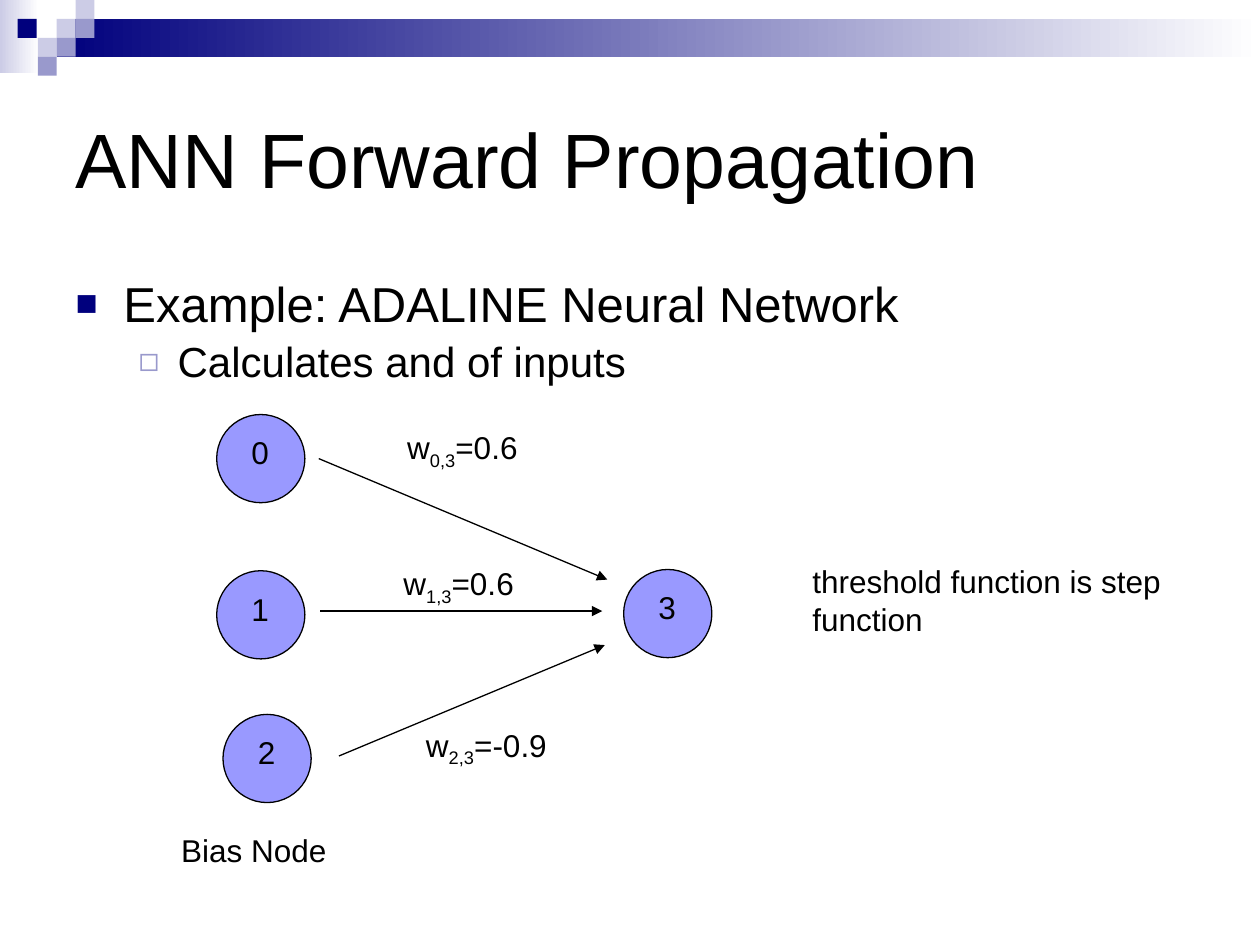
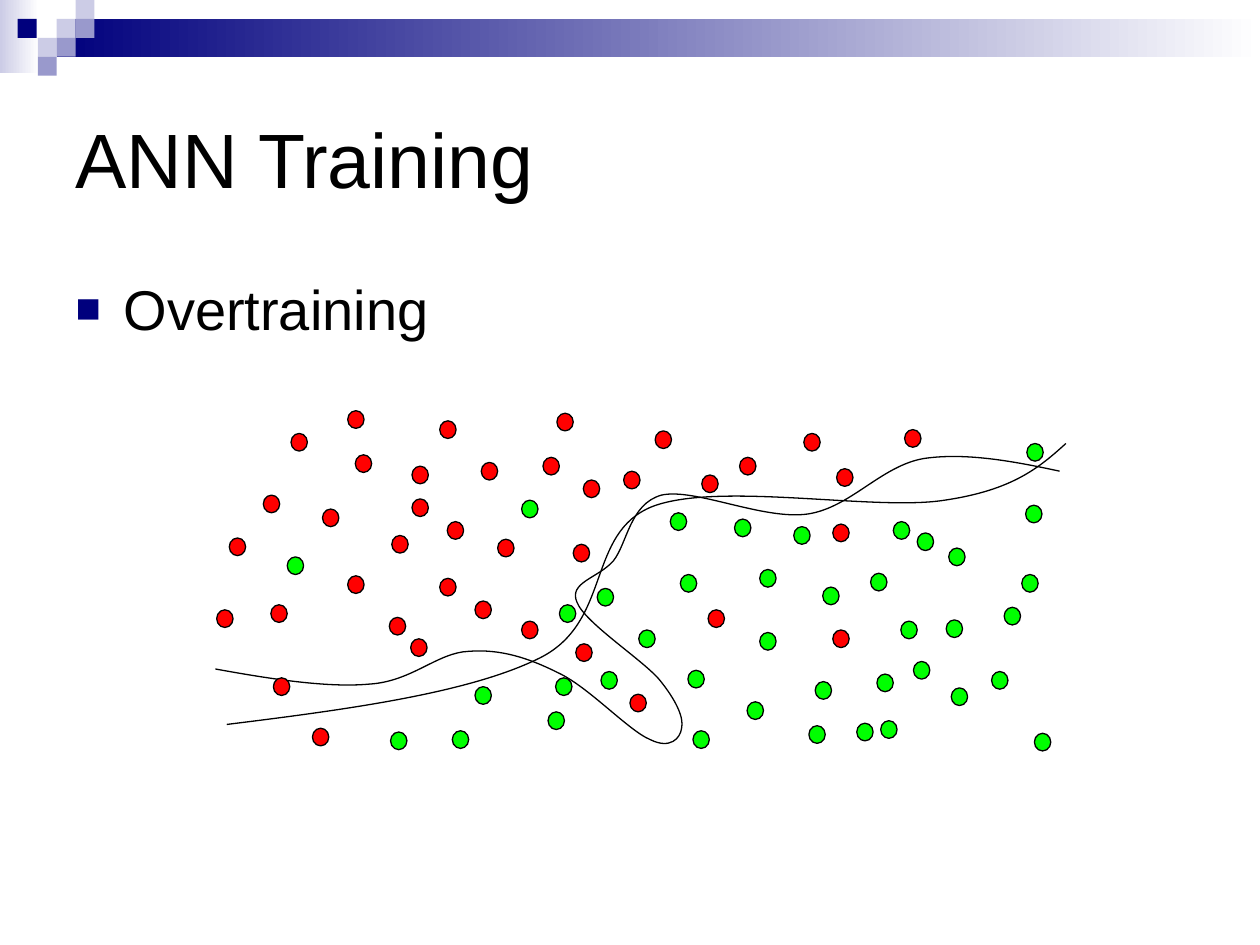
import dataclasses

import pptx
import pptx.dml.color
import pptx.enum.dml
import pptx.enum.shapes
import pptx.enum.text
import pptx.oxml
import pptx.oxml.ns
import pptx.util
from lxml import etree

PX = 9144  # EMU in one px: 100 px to the inch
OVAL = pptx.enum.shapes.MSO_SHAPE.OVAL
RECTANGLE = pptx.enum.shapes.MSO_SHAPE.RECTANGLE
ALIGN = pptx.enum.text.PP_ALIGN
AUTO_SIZE = pptx.enum.text.MSO_AUTO_SIZE


@dataclasses.dataclass(frozen=True)
class Theme:
    font: str = "Arial"
    ink: str = "000000"
    navy: str = "00007D"
    lilac: str = "9999CC"
    pale: str = "CCCCE6"
    white: str = "FFFFFF"
    node: str = "9999FF"
    red: str = "FF0000"
    green: str = "00FF00"
    title_size: int = 44
    label_size: int = 18
    line_width: float = 0.75


def rgb(color):
    return pptx.dml.color.RGBColor.from_string(color)


def emu(*lengths):
    return [length * PX for length in lengths]


def sub(parent, tag, **attributes):
    return etree.SubElement(parent, pptx.oxml.ns.qn(tag), attributes)


class Painter:
    def __init__(self, deck, theme):
        self.deck = deck
        self.theme = theme
        self.layout = deck.slide_layouts[1]
        self.page = None

    def add_page(self, title):
        self.page = self.deck.slides.add_slide(self.layout)
        self.place(self.page.shapes.title, 50, 50, 900, 150)
        para = self.page.shapes.title.text_frame.paragraphs[0]
        para.alignment = ALIGN.LEFT
        self.span(para, title, self.theme.title_size)

    def place(self, holder, *bounds):
        holder.left, holder.top, holder.width, holder.height = emu(*bounds)
        holder.text_frame.auto_size = AUTO_SIZE.NONE

    def span(self, para, text, size, baseline=None):
        span = para.add_run()
        span.text = text
        span.font.name = self.theme.font
        span.font.size = pptx.util.Pt(size)
        span.font.color.rgb = rgb(self.theme.ink)
        if baseline:
            span.font._element.set("baseline", str(baseline))

    def body(self, bounds, items, spacing=None):
        """Each item is (level, text, size)."""
        styles = [(38, 38, "■", self.theme.navy, 75),
                  (81, 31, "◻", self.theme.lilac, 80)]
        holder = self.page.placeholders[1]
        self.place(holder, *bounds)
        frame = holder.text_frame
        for index, (level, text, size) in enumerate(items):
            para = frame.add_paragraph() if index else frame.paragraphs[0]
            para.level = level
            if spacing:
                para.line_spacing = spacing
            margin, hanging, mark, color, percent = styles[level]
            properties = para._p.get_or_add_pPr()
            properties.set("marL", str(margin * PX))
            properties.set("indent", str(-hanging * PX))
            sub(sub(properties, "a:buClr"), "a:srgbClr", val=color)
            sub(properties, "a:buSzPct", val=str(percent * 1000))
            sub(properties, "a:buFont", typeface=self.theme.font)
            sub(properties, "a:buChar", char=mark)
            self.span(para, text, size)

    def outline(self, line):
        line.color.rgb = rgb(self.theme.ink)
        line.width = pptx.util.Pt(self.theme.line_width)

    def shape(self, kind, bounds, color, fade_to=None, outlined=False):
        shape = self.page.shapes.add_shape(kind, *emu(*bounds))
        shape.shadow.inherit = False
        if fade_to:
            shape.fill.gradient()
            shape.fill.gradient_angle = 0
            for stop, shade in zip(shape.fill.gradient_stops, (color, fade_to)):
                stop.color.rgb = rgb(shade)
        else:
            shape.fill.solid()
            shape.fill.fore_color.rgb = rgb(color)
        if outlined:
            self.outline(shape.line)
        else:
            shape.line.fill.background()
        return shape

    def band(self, *args):
        """Add a rectangle that every page gets from the layout."""
        self.layout.shapes._spTree.append(self.shape(RECTANGLE, *args)._element)

    def label(self, bounds, *spans, align=ALIGN.LEFT):
        """Each span is (text,) or (text, baseline)."""
        box = self.page.shapes.add_textbox(*emu(*bounds))
        box.text_frame.word_wrap = True
        box.text_frame.auto_size = AUTO_SIZE.SHAPE_TO_FIT_TEXT
        para = box.text_frame.paragraphs[0]
        para.alignment = align
        for text, *baseline in spans:
            self.span(para, text, self.theme.label_size, *baseline)

    def node(self, left, top, name):
        self.shape(OVAL, (left, top, 70, 70), self.theme.node, outlined=True)
        self.label((left + 10, top + 10, 49, 40), (name,), align=ALIGN.CENTER)

    def arrow(self, *ends):
        straight = pptx.enum.shapes.MSO_CONNECTOR.STRAIGHT
        arrow = self.page.shapes.add_connector(straight, *emu(*ends))
        self.outline(arrow.line)
        sub(arrow.line._get_or_add_ln(), "a:tailEnd", type="triangle")
        sub(arrow._element.spPr, "a:effectLst")

    def curve(self, points):
        """Draw cubic curves: a start, then three points for each piece."""
        start, *rest = [emu(*point) for point in points]
        builder = self.page.shapes.build_freeform(*start)
        builder.add_line_segments(rest, close=False)
        curve = builder.convert_to_shape()
        curve.shadow.inherit = False
        curve.fill.background()
        self.outline(curve.line)
        # Join every three straight pieces into one cubic piece
        pieces = list(curve._element.iter(pptx.oxml.ns.qn("a:lnTo")))
        for index in range(0, len(pieces), 3):
            cubic = etree.Element(pptx.oxml.ns.qn("a:cubicBezTo"))
            pieces[index].addprevious(cubic)
            for piece in pieces[index:index + 3]:
                cubic.append(piece[0])
                piece.getparent().remove(piece)

    def dots(self, corners, color):
        for left, top in corners:
            self.shape(OVAL, (left, top, 13, 14), color, outlined=True)


SMOOTH_BOUNDARY = [
    (180, 575), (277, 563), (373, 550), (429, 522), (486, 493), (465, 423),
    (518, 402), (571, 382), (695, 406), (750, 397), (804, 389), (825, 371),
    (846, 352)]
OVERTRAINED_BOUNDARY = [
    (171, 531), (215, 539), (260, 546), (293, 543), (327, 541), (347, 518),
    (372, 517), (397, 515), (419, 522), (443, 534), (467, 545), (499, 580),
    (516, 587), (532, 595), (540, 586), (541, 578), (543, 570), (537, 556),
    (523, 539), (509, 523), (464, 494), (458, 478), (451, 462), (475, 459),
    (487, 445), (498, 431), (500, 400), (525, 393), (551, 387), (606, 413),
    (641, 408), (675, 403), (699, 370), (733, 364), (766, 359), (804, 366),
    (841, 374)]
RED_DOTS = [
    (209, 393), (282, 361), (327, 396), (172, 484), (349, 459), (562, 484),
    (276, 457), (495, 374), (463, 381), (664, 372), (500, 551), (215, 480),
    (414, 493), (455, 432), (557, 377), (457, 511), (182, 427), (256, 404),
    (217, 538), (309, 490), (326, 507), (311, 425), (248, 578), (395, 428),
    (587, 363), (431, 363), (661, 416), (718, 341), (661, 500), (349, 334),
    (442, 328), (355, 414), (327, 370), (231, 344), (382, 367), (520, 342),
    (377, 477), (276, 326), (638, 344)]
GREEN_DOTS = [
    (474, 467), (377, 545), (583, 412), (691, 455), (603, 502), (435, 565),
    (603, 452), (507, 500), (532, 407), (814, 401), (647, 541), (546, 532),
    (310, 581), (753, 435), (751, 492), (359, 580), (540, 456), (593, 557),
    (477, 533), (444, 480), (642, 576), (696, 535), (715, 493), (797, 482),
    (699, 572), (755, 546), (815, 352), (680, 574), (728, 423), (811, 456),
    (821, 582), (787, 533), (228, 442), (550, 580), (441, 538), (414, 397),
    (709, 414), (725, 525), (653, 466), (630, 418)]


def add_bands(painter):
    theme = painter.theme
    painter.band((0, 0, 31, 58), theme.pale, theme.white)
    painter.band((45, 15, 955, 30), theme.navy, theme.white)
    squares = [(45, 15, theme.pale), (60, 0, theme.pale), (60, 15, theme.lilac),
               (30, 30, theme.pale), (14, 15, theme.navy),
               (45, 30, theme.lilac), (30, 45, theme.lilac)]
    for left, top, color in squares:
        painter.band((left, top, 15, 15), color)


def add_propagation_page(painter):
    painter.add_page("ANN Forward Propagation")
    add_bands(painter)
    painter.body((50, 217, 900, 102),
                 [(0, "Example: ADALINE Neural Network", 28),
                  (1, "Calculates and of inputs", 24)], spacing=0.9)

    # Network nodes
    for name, (left, top) in enumerate([(172, 329), (172, 453), (177, 567), (495, 452)]):
        painter.node(left, top, str(name))
    painter.label((134, 655, 136, 40), ("Bias Node",))

    # Weighted links into node 3
    links = [((253, 364, 482, 460), (296, 335), "0.6"),
             ((254, 485, 478, 485), (293, 443), "0.6"),
             ((269, 600, 480, 512), (315, 571), "-0.9")]
    for source, (ends, (left, top), weight) in enumerate(links):
        painter.arrow(*ends)
        painter.label((left, top, 142, 40), ("w",), (f"{source},3", -25000),
                      (f"={weight}",), align=ALIGN.CENTER)
    painter.label((635, 441, 303, 70), ("threshold function is step function",))


def add_training_page(painter):
    painter.add_page("ANN Training")
    painter.body((50, 213, 900, 225), [(0, "Overtraining", 32)])

    # Two decision boundaries among the samples
    painter.curve(SMOOTH_BOUNDARY)
    painter.curve(OVERTRAINED_BOUNDARY)
    painter.dots(RED_DOTS, painter.theme.red)
    painter.dots(GREEN_DOTS, painter.theme.green)


def main():
    deck = pptx.Presentation()
    deck.slide_width, deck.slide_height = emu(1000, 750)
    painter = Painter(deck, Theme())
    add_propagation_page(painter)
    add_training_page(painter)
    deck.save("out.pptx")


if __name__ == "__main__":
    main()
